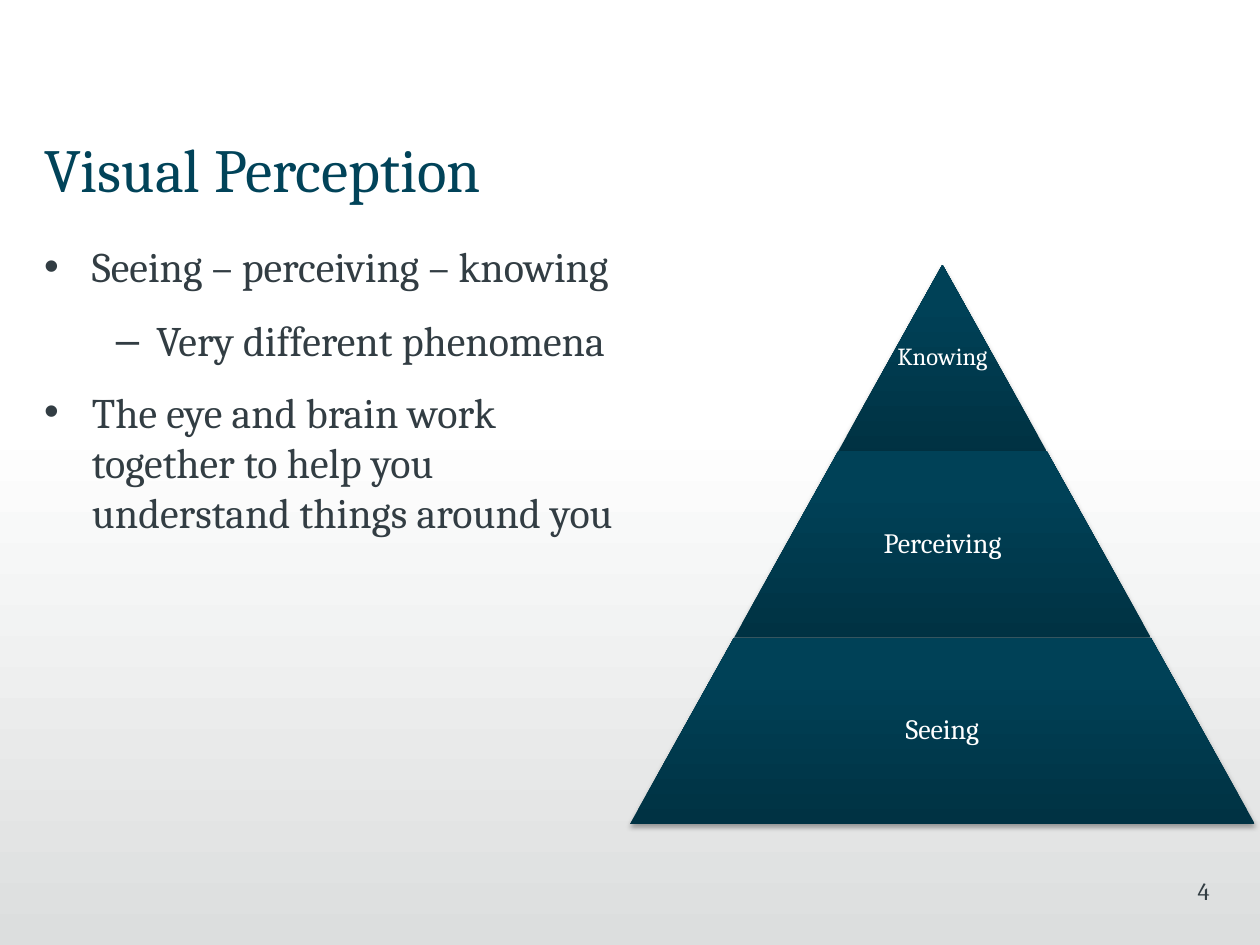
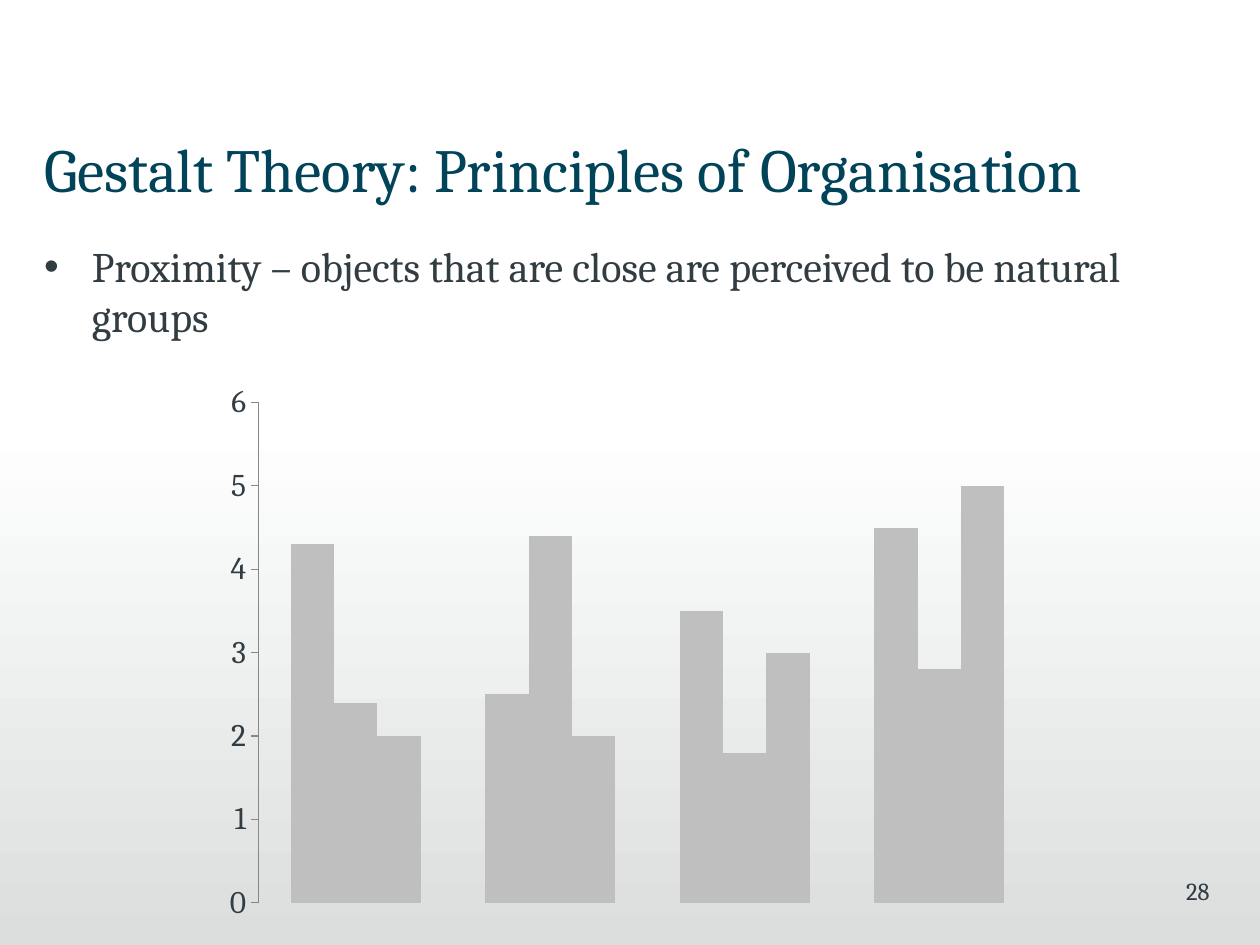
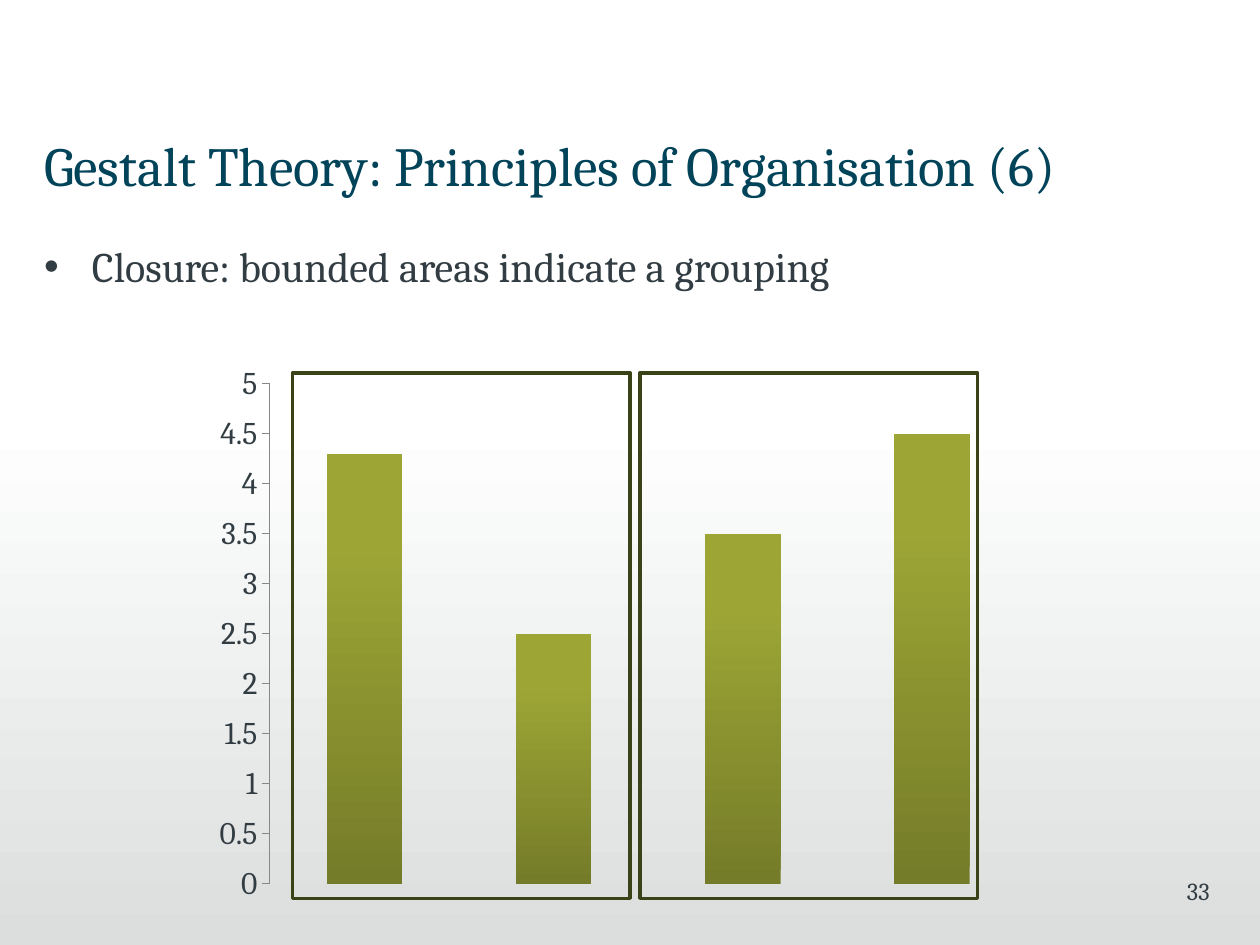
from lxml import etree
from pptx import Presentation
from pptx.chart.data import CategoryChartData
from pptx.dml.color import RGBColor
from pptx.enum.chart import XL_CHART_TYPE, XL_TICK_MARK
from pptx.enum.shapes import MSO_SHAPE
from pptx.enum.text import MSO_ANCHOR, PP_ALIGN
from pptx.oxml.ns import qn
from pptx.util import Inches, Pt

RECT, TRAPEZOID = MSO_SHAPE.RECTANGLE, MSO_SHAPE.TRAPEZOID
CLUSTERED, STACKED = XL_CHART_TYPE.COLUMN_CLUSTERED, XL_CHART_TYPE.COLUMN_STACKED
LEFT, CENTER, RIGHT = PP_ALIGN.LEFT, PP_ALIGN.CENTER, PP_ALIGN.RIGHT
TOP, MIDDLE = MSO_ANCHOR.TOP, MSO_ANCHOR.MIDDLE
OUTSIDE, NO_TICK = XL_TICK_MARK.OUTSIDE, XL_TICK_MARK.NONE

FONT = "Cambria"
TITLE, INK, WHITE = "014359", "323D43", "FFFFFF"
BAND, AXIS, FRAME, GREY = "DCDEDE", "878787", "3A4318", "BFBFBF"
TEAL = ("003243", "004157")
OLIVE = ("757C29", "9DA635")

prs = Presentation()
prs.slide_width, prs.slide_height = Inches(10), Inches(7.5)
COL, ROW = prs.slide_width / 100, prs.slide_height / 75
rgb = RGBColor.from_string


def at(x, y, w, h):
    return int(x * COL), int(y * ROW), int(w * COL), int(h * ROW)


def shade(fill, bottom, top, reach):
    fill.gradient()
    fill.gradient_angle = 90
    for stop, color, position in zip(fill.gradient_stops, (bottom, top), (0, reach)):
        stop.color.rgb = rgb(color)
        stop.position = position


BULLET = dict(char="•", indent=3.8, hang=3.8, after=16.5, spacing=1)
DASH = dict(char="–", indent=8.9, hang=3.2, after=12, spacing=0.9)
LABEL = dict(spacing=0.9)
PLAIN = {}

TIERS = [("Knowing", 14), ("Perceiving", 16), ("Seeing", 16)]
FIRST = [4.3, 2.5, 3.5, 4.5]
EMPTY = [None] * 4
PROXIMITY = dict(kind=CLUSTERED, box=(16.9, 29.6, 66.7, 44.4), overlap=0, top=6, step=1,
                 series=[FIRST, [2.4, 4.4, 1.8, 2.8], [2, 2, 3, 5]])
CLOSURE = dict(kind=STACKED, box=(16.1, 28.1, 66.7, 44.4), overlap=100, top=5, step=0.5,
               series=[FIRST, EMPTY, EMPTY])

SLIDES = [
    ("Visual Perception", 35, 46.5, [
        ("Seeing – perceiving – knowing", BULLET),
        ("Very different phenomena", DASH),
        ("The eye and brain work together to help you understand things around you", BULLET),
    ], "4", None),
    ("Gestalt Theory: Principles of Organisation", 35, 92.9, [
        ("Proximity – objects that are close are perceived to be natural groups", BULLET),
    ], "28", PROXIMITY),
    ("Gestalt Theory: Principles of Organisation (6)", 31.5, 92.9, [
        ("Closure: bounded areas indicate a grouping", BULLET),
    ], "33", CLOSURE),
]

for title, title_size, body_width, body, number, plot in SLIDES:
    s = prs.slides.add_slide(prs.slide_layouts[6])
    s.background.fill.solid()
    s.background.fill.fore_color.rgb = rgb(WHITE)
    band = s.shapes.add_shape(RECT, *at(-0.9, 33.3, 100.9, 41.7))
    band.shadow.inherit = False
    band.line.fill.background()
    shade(band.fill, BAND, WHITE, 1)

    texts = [
        (at(3.5, 9.9, 92.9, 7.1), (0, 0.5, 1, 0.5), TOP, LEFT, title_size, TITLE, [(title, PLAIN)]),
        (at(3.5, 18.6, body_width, 45), (0, 0.5, 1, 0.5), TOP, LEFT, 24, INK, body),
        (at(75.2, 69, 20.8, 5), (1, 0.5, 0, 0.5), TOP, RIGHT, 14, INK, [(number, PLAIN)]),
    ]

    if plot is None:
        width, height = 49.6 / len(TIERS), 14.8
        for i, (name, size) in enumerate(TIERS):
            w = width * (i + 1)
            box = at(50 + (49.6 - w) / 2, 21 + i * height, w, height)
            tier = s.shapes.add_shape(TRAPEZOID, *box)
            tier.adjustments[0] = width / 2 / height
            tier.line.fill.background()
            shade(tier.fill, *TEAL, 0.8)
            tier.shadow.inherit = False
            effects = tier._element.spPr.find(qn("a:effectLst"))
            shadow = etree.SubElement(effects, qn("a:outerShdw"), blurRad=str(Pt(3.1)),
                                      dist=str(Pt(1.8)), dir="5400000", rotWithShape="0")
            black = etree.SubElement(shadow, qn("a:srgbClr"), val="000000")
            etree.SubElement(black, qn("a:alpha"), val="35000")
            texts.append((box, (0.2,) * 4, MIDDLE, CENTER, size, WHITE, [(name, LABEL)]))
    else:
        data = CategoryChartData()
        data.categories = ["1", "2", "3", "4"]
        for i, values in enumerate(plot["series"], 1):
            data.add_series(f"Series {i}", values)
        chart = s.shapes.add_chart(plot["kind"], *at(*plot["box"]), data).chart
        chart.has_legend = chart.has_title = False
        chart.font.name, chart.font.size = FONT, Pt(18)
        chart.font.color.rgb = rgb(INK)
        chart.category_axis.visible = False
        axis = chart.value_axis
        for key, value in dict(has_major_gridlines=False, major_tick_mark=OUTSIDE,
                               minor_tick_mark=NO_TICK, minimum_scale=0,
                               maximum_scale=plot["top"], major_unit=plot["step"]).items():
            setattr(axis, key, value)
        axis.format.line.color.rgb = rgb(AXIS)
        axis.format.line.width = Pt(0.75)
        bars = chart.plots[0]
        bars.gap_width, bars.overlap, bars.vary_by_categories = 150, plot["overlap"], False
        for series in bars.series:
            series.invert_if_negative = False
            if plot is CLOSURE:
                shade(series.format.fill, *OLIVE, 0.8)
            else:
                series.format.fill.solid()
                series.format.fill.fore_color.rgb = rgb(GREY)

    if plot is CLOSURE:
        for i in range(2):
            frame = s.shapes.add_shape(RECT, *at(23.2 + i * 27.6, 29.6, 26.8, 41.7))
            frame.shadow.inherit = False
            frame.fill.background()
            frame.line.color.rgb = rgb(FRAME)
            frame.line.width = Pt(2)

    for box, insets, anchor, align, size, color, paragraphs in texts:
        tf = s.shapes.add_textbox(*box).text_frame
        tf.word_wrap, tf.vertical_anchor = True, anchor
        for side, inset in zip(("left", "top", "right", "bottom"), insets):
            setattr(tf, f"margin_{side}", int(inset * COL))
        for i, (words, style) in enumerate(paragraphs):
            p = tf.add_paragraph() if i else tf.paragraphs[0]
            p.alignment = align
            if "spacing" in style:
                p.line_spacing = style["spacing"]
            if "char" in style:
                p.space_after = Pt(style["after"])
                pPr = p._p.get_or_add_pPr()
                pPr.set("marL", str(int(style["indent"] * COL)))
                pPr.set("indent", str(int(-style["hang"] * COL)))
                etree.SubElement(pPr, qn("a:buFont"), typeface="Arial")
                etree.SubElement(pPr, qn("a:buChar"), char=style["char"])
            r = p.add_run()
            r.text = words
            r.font.name, r.font.size = FONT, Pt(size)
            r.font.color.rgb = rgb(color)

prs.save("out.pptx")
